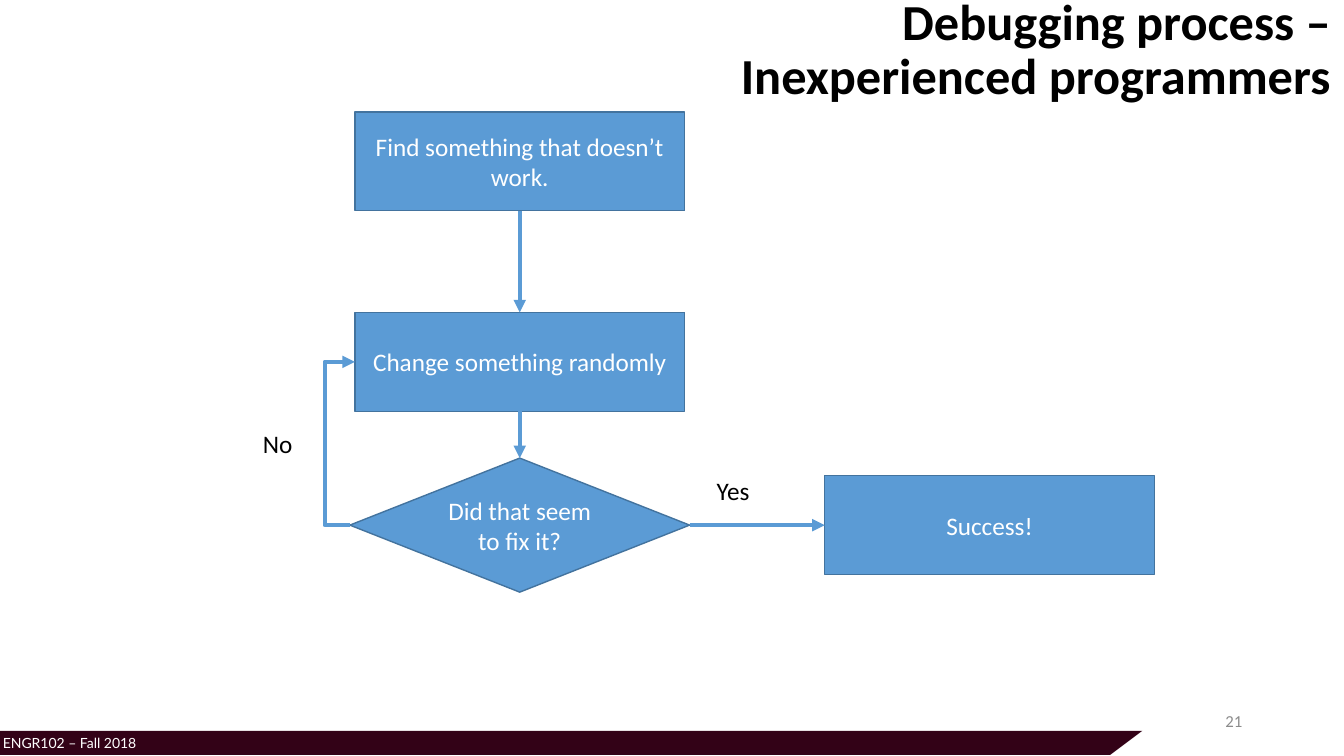
from lxml.etree import SubElement
from pptx import Presentation
from pptx.dml.color import RGBColor
from pptx.enum.shapes import MSO_CONNECTOR as Link, MSO_SHAPE as Kind
from pptx.enum.text import MSO_ANCHOR as Anchor, PP_ALIGN as Align
from pptx.oxml.ns import qn
from pptx.util import Inches, Pt

BLUE = RGBColor(0x5B, 0x9B, 0xD5)
EDGE = RGBColor(0x43, 0x73, 0x9E)
MAROON = RGBColor(0x33, 0x02, 0x17)
WHITE = RGBColor(255, 255, 255)
BLACK = RGBColor(0, 0, 0)
GRAY = RGBColor(0x8C, 0x8C, 0x8C)

BOX, GEM = (3.27, 0.98), (3.37, 1.33)
MID, LOW = 5.155, 5.21
TOP, LEFT, BASE, RIGHT = range(4)
DETOUR = 0.25

STEPS = {
    "find": ("Find something that doesn’t work.", Kind.FLOWCHART_PROCESS, MID, 1.6, BOX),
    "change": ("Change something randomly", Kind.FLOWCHART_PROCESS, MID, 3.59, BOX),
    "check": ("Did that seem to fix it?", Kind.FLOWCHART_DECISION, MID, LOW, GEM),
    "done": ("Success!", Kind.FLOWCHART_PROCESS, 9.815, LOW, BOX),
}
ARROWS = [
    ("find", BASE, "change", TOP, Link.STRAIGHT),
    ("check", LEFT, "change", LEFT, Link.ELBOW),
    ("change", BASE, "check", TOP, Link.STRAIGHT),
    ("check", RIGHT, "done", LEFT, Link.STRAIGHT),
]
BAND = [(-0.01, 7.25), (11.33, 7.25), (11.01, 7.49), (-0.02, 7.49)]
TEXTS = [
    ("ENGR102 – Fall 2018", (-0.07, 7.24, 7.5, 0.3), True, Anchor.TOP, Align.LEFT,
     {"size": Pt(10), "name": "Lato"}, WHITE),
    ("Debugging process – Inexperienced programmers", (5.97, 0, 7.33, 1.01), True,
     Anchor.MIDDLE, Align.RIGHT, {"size": Pt(36), "bold": True}, BLACK),
    ("Yes", (7.01, 4.67, 0.53, 0.4), False, Anchor.TOP, Align.LEFT, {}, BLACK),
    ("No", (2.51, 4.2, 0.5, 0.4), False, Anchor.TOP, Align.LEFT, {}, BLACK),
    ("21", (9.42, 6.95, 3, 0.4), True, Anchor.MIDDLE, Align.RIGHT, {"size": Pt(12)}, GRAY),
]
FONT = {"name": "Calibri", "size": Pt(18)}


def write(shape, text, wrap, anchor, align, style, color):
    frame = shape.text_frame
    frame.word_wrap = wrap
    frame.vertical_anchor = anchor
    para = frame.paragraphs[0]
    para.alignment = align
    if style.get("bold"):
        para.line_spacing = 0.9
    run = para.add_run()
    run.text = text
    for key, value in {**FONT, **style}.items():
        setattr(run.font, key, value)
    run.font.color.rgb = color


def paint(shape, fill):
    shape.shadow.inherit = False
    shape.fill.solid()
    shape.fill.fore_color.rgb = fill


def join(shapes, nodes, start, out, end, into, kind):
    arrow = shapes.add_connector(kind, 0, 0, 0, 0)
    arrow.begin_connect(nodes[start], out)
    arrow.end_connect(nodes[end], into)
    arrow.line.color.rgb = BLUE
    arrow.line.width = Pt(3)
    props = arrow._element.spPr
    SubElement(props.find(qn("a:ln")), qn("a:tailEnd"), type="triangle")
    SubElement(props, qn("a:effectLst"))
    if kind == Link.ELBOW:
        bend = round(-Inches(DETOUR) / arrow.width * 100000)
        guides = props.find(qn("a:prstGeom")).get_or_add_avLst()
        SubElement(guides, qn("a:gd"), name="adj1", fmla=f"val {bend}")


def main():
    deck = Presentation()
    deck.slide_width, deck.slide_height = Inches(13.33), Inches(7.5)
    shapes = deck.slides.add_slide(deck.slide_layouts[6]).shapes

    points = [(Inches(x), Inches(y)) for x, y in BAND]
    path = shapes.build_freeform(*points[0])
    path.add_line_segments(points[1:], close=True)
    band = path.convert_to_shape()
    paint(band, MAROON)
    band.line.fill.background()

    nodes = {}
    for key, (text, kind, x, y, (w, h)) in STEPS.items():
        spot = map(Inches, (x - w / 2, y - h / 2, w, h))
        node = nodes[key] = shapes.add_shape(kind, *spot)
        paint(node, BLUE)
        node.line.color.rgb = EDGE
        node.line.width = Pt(1)
        write(node, text, True, Anchor.MIDDLE, Align.CENTER, {}, WHITE)

    for arrow in ARROWS:
        start, out, end, into, kind = arrow
        join(shapes, nodes, start, out, end, into, kind)

    for text, spot, *look in TEXTS:
        write(shapes.add_textbox(*map(Inches, spot)), text, *look)

    deck.save("out.pptx")


if __name__ == "__main__":
    main()
